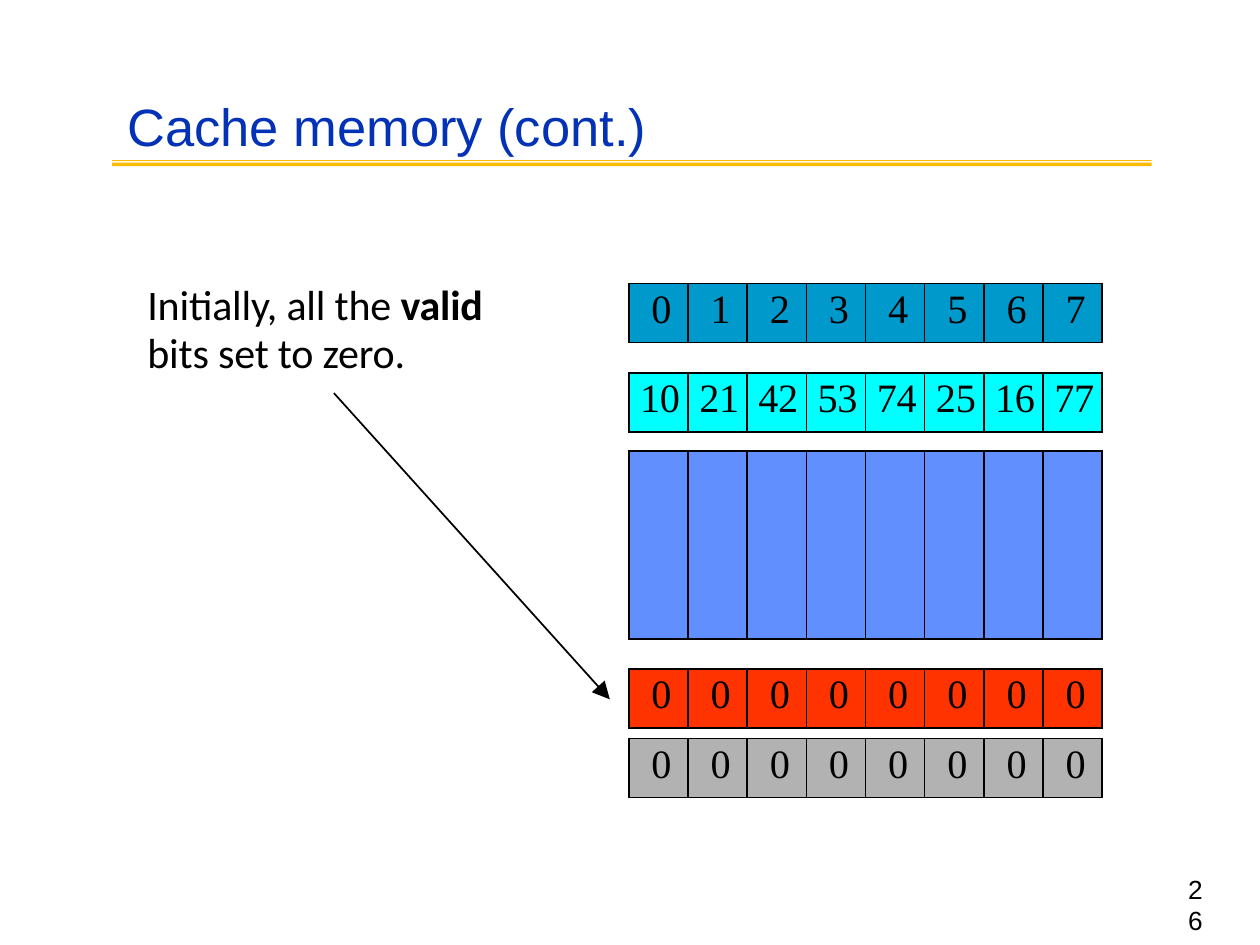
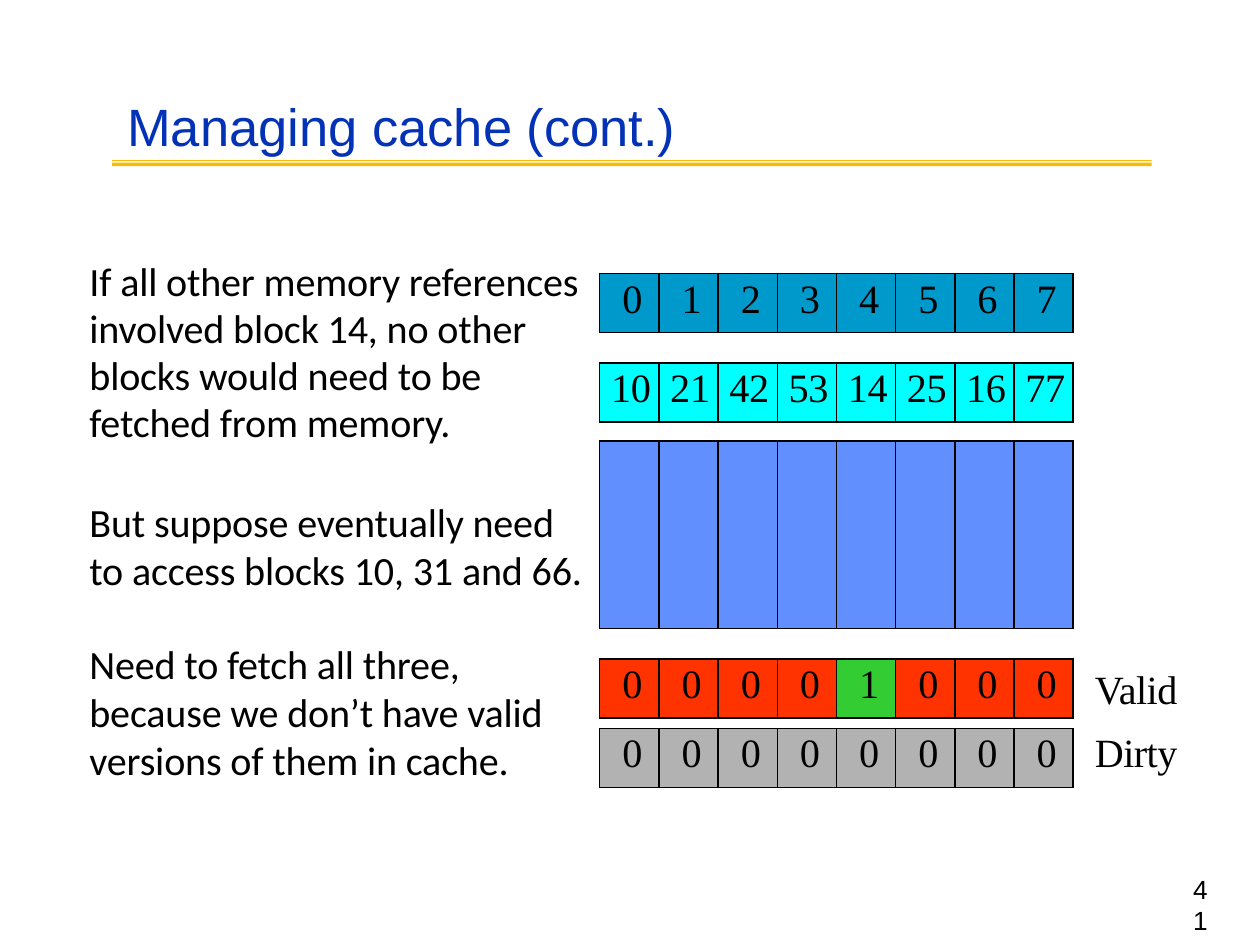
from dataclasses import dataclass, field

from lxml import etree
from pptx import Presentation
from pptx.dml.color import RGBColor
from pptx.enum.shapes import MSO_CONNECTOR, MSO_SHAPE
from pptx.enum.text import MSO_ANCHOR, MSO_AUTO_SIZE, PP_ALIGN
from pptx.oxml.ns import qn
from pptx.slide import Slide
from pptx.table import _Cell
from pptx.text.text import TextFrame, _Paragraph
from pptx.util import Inches, Length, Pt

STRAIGHT = MSO_CONNECTOR.STRAIGHT
RECTANGLE = MSO_SHAPE.RECTANGLE
TOP = MSO_ANCHOR.TOP
LEFT = PP_ALIGN.LEFT
FIXED_SIZE = MSO_AUTO_SIZE.NONE

BLACK = RGBColor(0x00, 0x00, 0x00)
TITLE_BLUE = RGBColor(0x03, 0x32, 0xB7)
RULE_GOLD = RGBColor(0xFB, 0xBA, 0x03)
INDEX_BLUE = RGBColor(0x00, 0x99, 0xCC)
TAG_CYAN = RGBColor(0x00, 0xFF, 0xFF)
DATA_BLUE = RGBColor(0x61, 0x8F, 0xFD)
INVALID_RED = RGBColor(0xFF, 0x33, 0x00)
VALID_GREEN = RGBColor(0x33, 0xCC, 0x33)
DIRTY_GREY = RGBColor(0xB2, 0xB2, 0xB2)

TITLE_ONLY_LAYOUT = 5
BLOCK_COUNT = 8
CELL_SIZE = Inches(0.47)
DATA_HEIGHT = Inches(1.49)
ONE_DIGIT_INDENT = Inches(0.18)
TWO_DIGIT_INDENT = Inches(0.09)
BODY_LINE = Pt(27.4)


@dataclass(frozen=True)
class CacheRow:
    offset: Length
    fill: RGBColor
    values: list[str]
    height: Length = CELL_SIZE
    fill_by_value: dict[str, RGBColor] = field(default_factory=dict)


@dataclass(frozen=True)
class TextStyle:
    font: str
    size: float
    color: RGBColor = BLACK
    line_spacing: float | Length | None = None
    tracking: int = 0  # hundredths of a point


TITLE = TextStyle("Arial", 30, TITLE_BLUE)
INTRO = TextStyle("Calibri", 24, line_spacing=BODY_LINE, tracking=-10)
BODY = TextStyle("Calibri", 22.9, line_spacing=BODY_LINE, tracking=-12)
BODY_START = TextStyle("Calibri", 22.9, line_spacing=0.98, tracking=-12)
CELL = TextStyle("Times New Roman", 23, tracking=-20)
LABEL = TextStyle("Times New Roman", 22.9, line_spacing=1.32, tracking=-30)
PAGE_NUMBER = TextStyle("Arial", 15, line_spacing=Pt(17.5), tracking=-40)


def style_paragraph(paragraph: _Paragraph, style: TextStyle) -> None:
    paragraph.alignment = LEFT
    if style.line_spacing is not None:
        paragraph.line_spacing = style.line_spacing
    font = paragraph.font
    font.name = style.font
    font.size = Pt(style.size)
    font.color.rgb = style.color
    if style.tracking:
        properties = paragraph._p.get_or_add_pPr().find(qn("a:defRPr"))
        properties.set("spc", str(style.tracking))


def set_margins(holder: TextFrame | _Cell, left: Length, top: Length,
                right: Length = Inches(0)) -> None:
    holder.margin_left, holder.margin_top = left, top
    holder.margin_right, holder.margin_bottom = right, Inches(0)


def add_text(slide: Slide, left: float, top: float, width: float, height: float,
             style: TextStyle, text: str = "", inset_top: float = 0.03) -> TextFrame:
    box = slide.shapes.add_textbox(
        Inches(left), Inches(top), Inches(width), Inches(height))
    frame = box.text_frame
    frame.word_wrap = True
    set_margins(frame, Inches(0.01), Inches(inset_top))
    paragraph = frame.paragraphs[0]
    if text:
        paragraph.add_run().text = text
    style_paragraph(paragraph, style)
    return frame


def add_gold_rule(slide: Slide) -> None:
    for top, height in ((1.27, 0.01), (1.29, 0.03)):
        bar = slide.shapes.add_shape(
            RECTANGLE, Inches(0.89), Inches(top), Inches(8.25), Inches(height))
        bar.shadow.inherit = False
        bar.fill.solid()
        bar.fill.fore_color.rgb = RULE_GOLD
        bar.line.fill.background()


def add_titled_slide(deck: Presentation, title: str, number: str,
                     number_left: float) -> Slide:
    slide = deck.slides.add_slide(deck.slide_layouts[TITLE_ONLY_LAYOUT])
    add_gold_rule(slide)
    heading = slide.shapes.title
    heading.left, heading.top = Inches(1), Inches(0.74)
    heading.width, heading.height = Inches(5.67), Inches(0.52)
    frame = heading.text_frame
    frame.text = title
    frame.vertical_anchor = TOP
    frame.auto_size = FIXED_SIZE
    set_margins(frame, Inches(0.01), Inches(0.01))
    style_paragraph(frame.paragraphs[0], TITLE)
    # The margins leave room for one digit, so the number stacks.
    page_frame = add_text(slide, number_left, 6.94, 0.38, 0.48, PAGE_NUMBER, number)
    set_margins(page_frame, Inches(0.15), Inches(0), Inches(0.03))
    return slide


def border_cell(cell: _Cell) -> None:
    properties = cell._tc.get_or_add_tcPr()
    for position, side in enumerate(("a:lnL", "a:lnR", "a:lnT", "a:lnB")):
        line = etree.Element(qn(side), w=str(Pt(1)))
        fill = etree.SubElement(line, qn("a:solidFill"))
        etree.SubElement(fill, qn("a:srgbClr"), val=str(BLACK))
        properties.insert(position, line)


def add_cache_row(slide: Slide, row: CacheRow, left: Length, top: Length) -> None:
    table = slide.shapes.add_table(
        1, BLOCK_COUNT, left, top + row.offset,
        CELL_SIZE * BLOCK_COUNT, row.height).table
    table.first_row = table.horz_banding = False
    table.rows[0].height = row.height
    for column, value in enumerate(row.values):
        table.columns[column].width = CELL_SIZE
        cell = table.cell(0, column)
        indent = TWO_DIGIT_INDENT if len(value) == 2 else ONE_DIGIT_INDENT
        set_margins(cell, indent, Inches(0.03))
        cell.fill.solid()
        cell.fill.fore_color.rgb = row.fill_by_value.get(value, row.fill)
        border_cell(cell)
        if value:
            cell.text = value
            style_paragraph(cell.text_frame.paragraphs[0], CELL)


def add_cache(slide: Slide, left: float, top: float,
              tags: str, valid_bits: str) -> None:
    """Draw the index, tag, data, valid and dirty rows of a cache."""
    rows = [
        CacheRow(Inches(0), INDEX_BLUE, [str(n) for n in range(BLOCK_COUNT)]),
        CacheRow(Inches(0.71), TAG_CYAN, tags.split()),
        CacheRow(Inches(1.33), DATA_BLUE, [""] * BLOCK_COUNT, DATA_HEIGHT),
        CacheRow(Inches(3.06), INVALID_RED, list(valid_bits),
                 fill_by_value={"1": VALID_GREEN}),
        CacheRow(Inches(3.61), DIRTY_GREY, ["0"] * BLOCK_COUNT),
    ]
    for row in rows:
        add_cache_row(slide, row, Inches(left), Inches(top))


def add_arrow(slide: Slide, start: tuple[float, float],
              end: tuple[float, float]) -> None:
    arrow = slide.shapes.add_connector(
        STRAIGHT, *(Inches(value) for value in start + end))
    arrow.line.color.rgb = BLACK
    arrow.line.width = Pt(1)
    etree.SubElement(arrow.line._get_or_add_ln(), qn("a:tailEnd"),
                     type="triangle", w="lg", len="lg")
    etree.SubElement(arrow._element.spPr, qn("a:effectLst"))


def build_initial_cache(deck: Presentation) -> None:
    slide = add_titled_slide(deck, "Cache memory (cont.)", "26", 9.28)
    frame = add_text(slide, 1.16, 2.2, 3.1, 0.78, INTRO)
    for text, bold in (("Initially, all the ", False), ("valid ", True),
                       ("bits set to zero.", False)):
        span = frame.paragraphs[0].add_run()
        span.text = text
        if bold:
            span.font.bold = True
    add_cache(slide, 4.99, 2.25, "10 21 42 53 74 25 16 77", "00000000")
    add_arrow(slide, (2.65, 3.12), (4.84, 5.55))


def build_managed_cache(deck: Presentation) -> None:
    slide = add_titled_slide(deck, "Managing cache (cont.)", "41", 9.32)
    add_cache(slide, 4.76, 2.17, "10 21 42 53 14 25 16 77", "00001000")
    frame = add_text(
        slide, 0.7, 2.03, 3.92, 2.68, BODY_START,
        "If all other memory references involved block 14, "
        "no other blocks would need to be fetched from memory.", 0.02)
    paragraph = frame.add_paragraph()
    paragraph.add_run().text = (
        "But suppose eventually need to access blocks 10, 31 and 66.")
    paragraph.space_before = Pt(28.7)
    style_paragraph(paragraph, BODY)
    add_text(slide, 0.7, 5.05, 3.76, 1.16, BODY,
             "Need to fetch all three, because we don’t have valid "
             "versions of them in cache.")
    add_text(slide, 8.68, 5.14, 0.72, 0.98, LABEL, "Valid Dirty", 0.01)


def main() -> None:
    deck = Presentation()
    deck.slide_width, deck.slide_height = Inches(10), Inches(7.5)
    build_initial_cache(deck)
    build_managed_cache(deck)
    deck.save("out.pptx")


if __name__ == "__main__":
    main()
